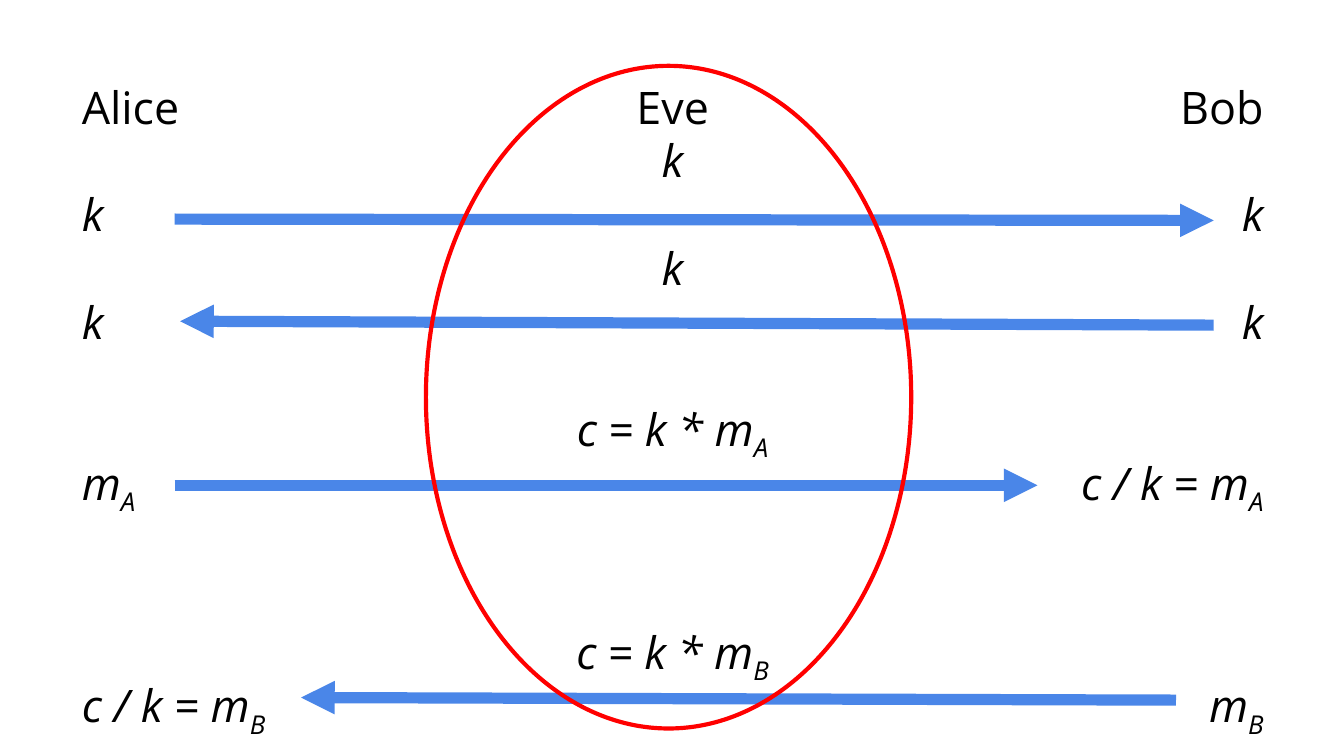
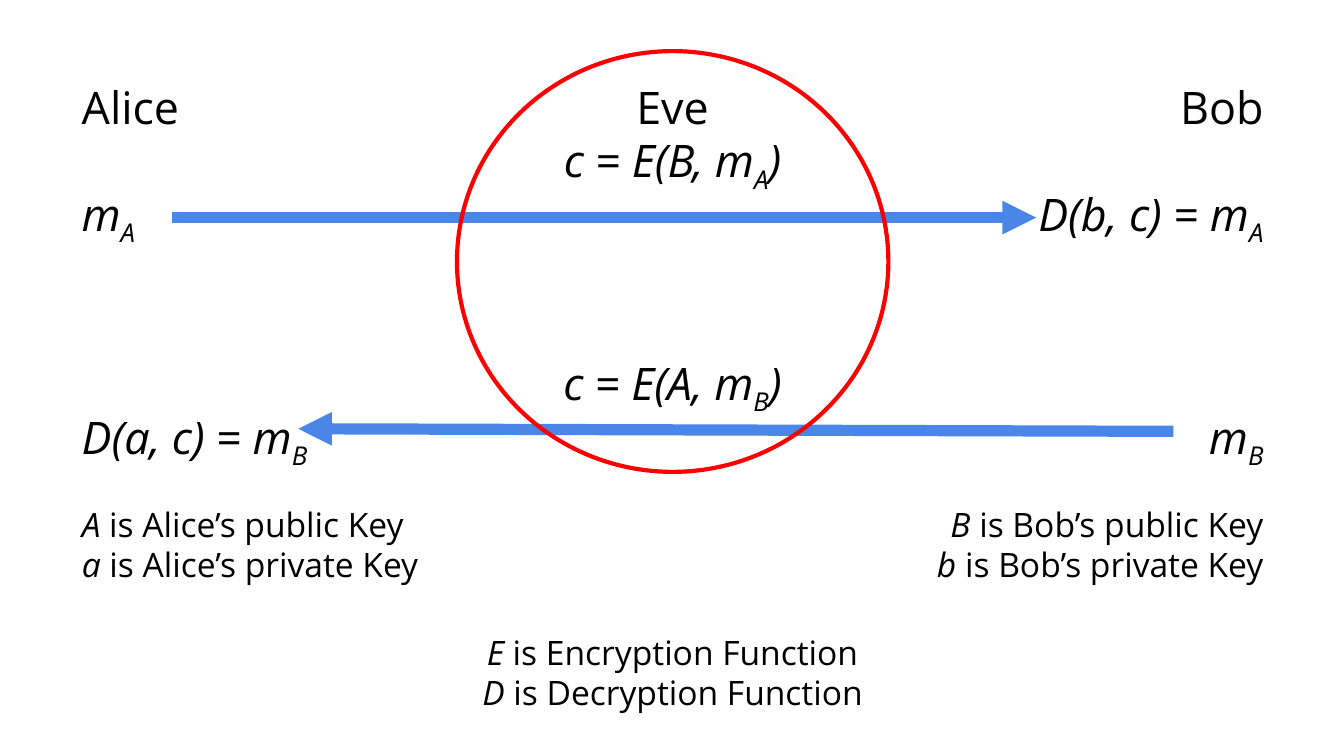
from dataclasses import dataclass
from pptx import Presentation
from pptx.dml.color import RGBColor
from pptx.enum.shapes import MSO_CONNECTOR, MSO_SHAPE
from pptx.enum.text import MSO_ANCHOR, PP_ALIGN
from pptx.oxml.ns import qn
from pptx.util import Pt
from lxml.etree import SubElement


@dataclass(frozen=True)
class Theme:
    font: str = "Open Sans"
    ink: RGBColor = RGBColor(0, 0, 0)
    arrow: RGBColor = RGBColor(0x4A, 0x86, 0xE8)
    eve: RGBColor = RGBColor(0xFF, 0, 0)
    formula_size: int = 24
    note_size: int = 18
    row_pitch: float = 28.8
    arrow_width: float = 6
    eve_width: float = 2.25


THEME = Theme()
SLIDE_W, SLIDE_H = 720, 405
LEFT, RIGHT, TOP, COLUMN_H = 36.7, 684, 35.3, 324
PAD = 7.2
ALIGNS = (PP_ALIGN.LEFT, PP_ALIGN.CENTER, PP_ALIGN.RIGHT)
PARTIES = ("Alice", "Eve", "Bob")

SLIDES = [
    {
        "column_w": 126,
        "columns": (
            {2: "k", 4: "k", 7: "m_A", 11: "c / k = m_B"},
            {1: "k", 3: "k", 6: "c = k * m_A", 10: "c = k * m_B"},
            {2: "k", 4: "k", 7: "c / k = m_A", 11: "m_B"},
        ),
        "arrows": [
            (93.6, 260, 555.8, 260),
            (630, 375.1, 161.3, 373.7),
            (93.6, 117.4, 650.2, 118.1),
            (650.2, 174.2, 96.5, 172.1),
        ],
        "eve": (228.2, 35.3, 260, 355),
        "notes": [],
    },
    {
        "column_w": 141.8,
        "columns": (
            {2: "m_A", 6: "D(a, c) = m_B"},
            {1: "c = E(B, m_A)", 5: "c = E(A, m_B)"},
            {2: "D(b, c) = m_A", 6: "m_B"},
        ),
        "arrows": [
            (92.2, 116.6, 555.1, 116.6),
            (628.6, 231.1, 159.8, 229.7),
        ],
        "eve": (244.8, 27.4, 231.1, 225.4),
        "notes": [
            (0, 216.7, 262.8, 120.2,
             [("A", " is Alice’s public Key"), ("a", " is Alice’s private Key")]),
            (2, 216.7, 262.8, 120.2,
             [("B", " is Bob’s public Key"), ("b", " is Bob’s private Key")]),
            (1, 231.1, 331.2, 61.2,
             [("E", " is Encryption Function"), ("D", " is Decryption Function")]),
        ],
    },
]


def column_left(column, width):
    return LEFT + column * (RIGHT - LEFT - width) / 2


def formula_runs(formula):
    first, *rest = formula.split("_")
    runs = [(first, True, False)]
    for part in rest:
        runs.append((part[0], True, True))
        if part[1:]:
            runs.append((part[1:], True, False))
    return runs


def add_text(s, column, width, top, height, size, paragraphs):
    box = s.shapes.add_textbox(Pt(column_left(column, width)), Pt(top), Pt(width), Pt(height))
    tf = box.text_frame
    frame = dict(word_wrap=True, vertical_anchor=MSO_ANCHOR.TOP, margin_left=Pt(PAD),
                 margin_right=Pt(PAD), margin_top=Pt(PAD), margin_bottom=Pt(PAD))
    for name, value in frame.items():
        setattr(tf, name, value)
    for i, (gap, runs) in enumerate(paragraphs):
        p = tf.add_paragraph() if i else tf.paragraphs[0]
        p.alignment = ALIGNS[column]
        if gap:
            p.space_before = Pt(gap)
        for text, italic, subscript in runs:
            r = p.add_run()
            r.text = text
            for name, value in dict(name=THEME.font, size=Pt(size), italic=italic).items():
                setattr(r.font, name, value)
            r.font.color.rgb = THEME.ink
            if subscript:
                r._r.get_or_add_rPr().set("baseline", "-25000")


def add_party(s, column, width, formulas):
    paragraphs = [(0, [(PARTIES[column], False, False)])]
    previous = 0
    for row, formula in formulas.items():
        gap = (row - previous - 1) * THEME.row_pitch
        paragraphs.append((gap, formula_runs(formula)))
        previous = row
    add_text(s, column, width, TOP, COLUMN_H, THEME.formula_size, paragraphs)


def add_arrow(s, ends):
    cx = s.shapes.add_connector(MSO_CONNECTOR.STRAIGHT, *map(Pt, ends))
    cx.line.color.rgb = THEME.arrow
    cx.line.width = Pt(THEME.arrow_width)
    SubElement(cx.line._get_or_add_ln(), qn("a:tailEnd"), type="triangle")
    SubElement(cx._element.spPr, qn("a:effectLst"))


def add_eve(s, bounds):
    sp = s.shapes.add_shape(MSO_SHAPE.OVAL, *map(Pt, bounds))
    sp.shadow.inherit = False
    sp.fill.background()
    sp.line.color.rgb = THEME.eve
    sp.line.width = Pt(THEME.eve_width)


def main():
    prs = Presentation()
    prs.slide_width, prs.slide_height = Pt(SLIDE_W), Pt(SLIDE_H)
    for content in SLIDES:
        s = prs.slides.add_slide(prs.slide_layouts[6])
        for column, formulas in enumerate(content["columns"]):
            add_party(s, column, content["column_w"], formulas)
        for ends in content["arrows"]:
            add_arrow(s, ends)
        add_eve(s, content["eve"])
        for column, width, top, height, lines in content["notes"]:
            paragraphs = [(0, [(symbol, True, False), (meaning, False, False)])
                          for symbol, meaning in lines]
            add_text(s, column, width, top, height, THEME.note_size, paragraphs)
    prs.save("out.pptx")


if __name__ == "__main__":
    main()
